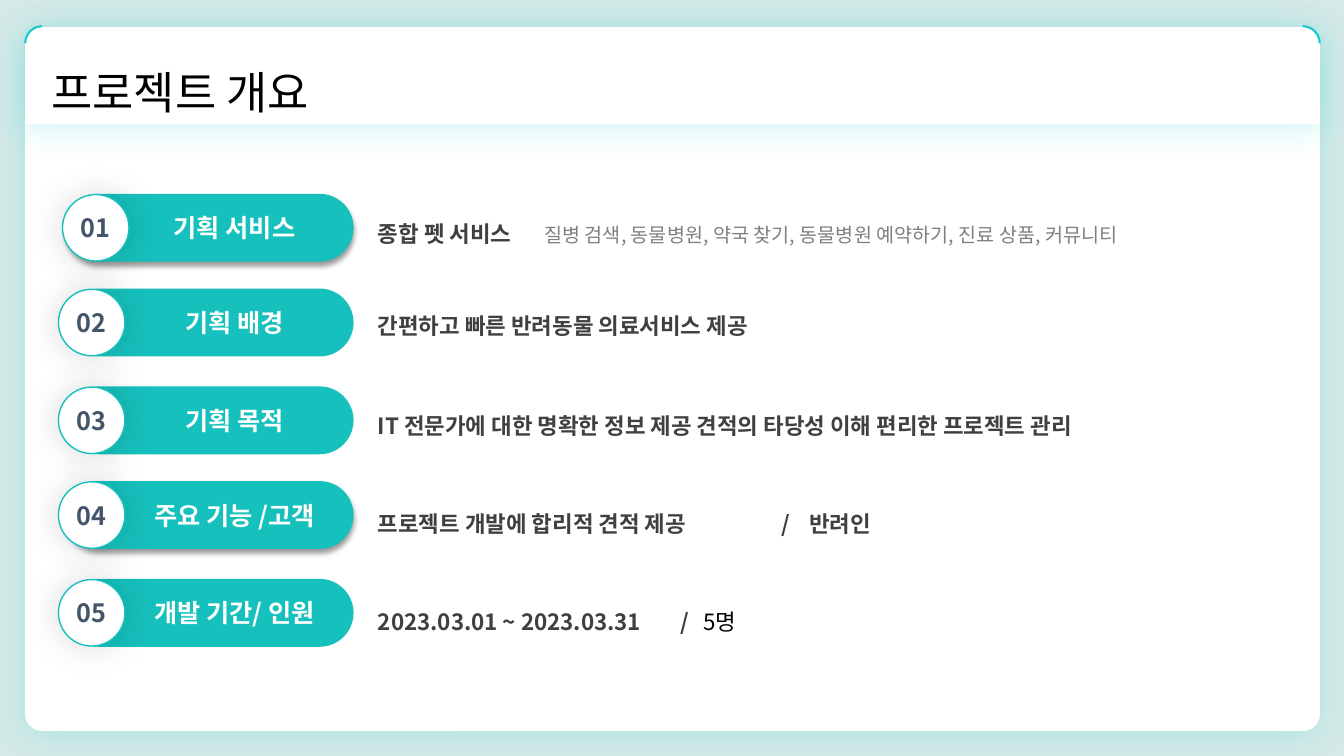
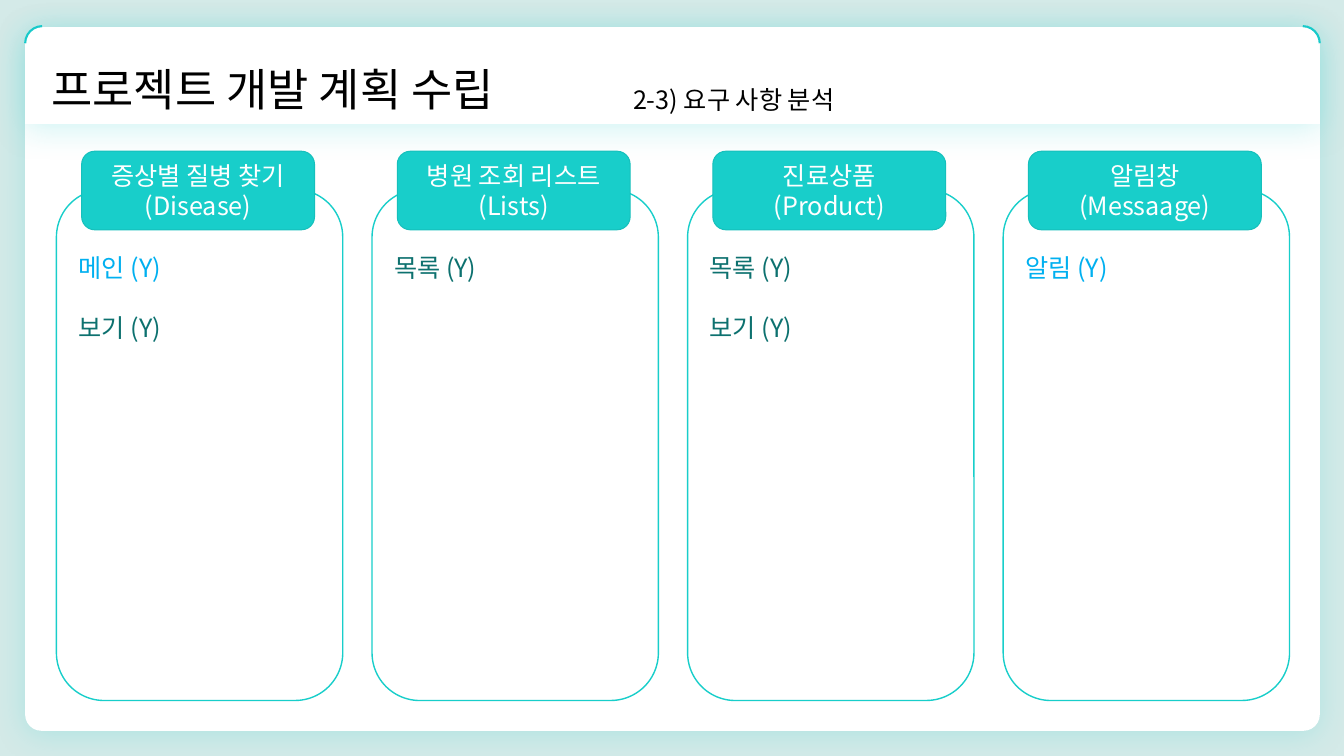
"""Build two slides that present a pet service project."""
from dataclasses import dataclass
from typing import Any, Optional

from lxml.etree import SubElement
from pptx import Presentation
from pptx.dml.color import RGBColor
from pptx.enum.shapes import MSO_SHAPE
from pptx.enum.text import MSO_ANCHOR, MSO_AUTO_SIZE, PP_ALIGN
from pptx.oxml.ns import qn
from pptx.shapes.autoshape import Shape
from pptx.slide import Slide
from pptx.util import Inches, Pt

FONT = "Noto Sans CJK KR"
WHITE, BLACK, BACKGROUND = "FFFFFF", "000000", "D4EAE8"
ACCENT, PILL, COLUMN = "18CACA", "16C0BC", "18CECA"
NUMBER, BODY, DETAIL = "44546A", "404040", "808080"
DONE, HIGHLIGHT = "0D716F", "00B0F0"

Box = tuple[float, float, float, float]


@dataclass(frozen=True)
class Shadow:
    """A soft outer shadow, with lengths in points and opacity in percent."""
    color: str
    opacity: int
    blur: float
    distance: float
    direction: int = 90


@dataclass(frozen=True)
class Span:
    """A piece of text with one look."""
    text: str
    size: int = 18
    color: str = WHITE
    bold: bool = False


@dataclass(frozen=True)
class OverviewRow:
    """A numbered pill with its description."""
    label: str
    top: float
    text_top: float
    spans: tuple[Span, ...]
    tabs: tuple[float, ...] = ()
    raised: bool = False
    circle_left: float = 0.58


@dataclass(frozen=True)
class Requirement:
    """A column of requirements under a header."""
    name: str
    english: str
    items: tuple[tuple[str, str], ...]


CARD_SHADOW = Shadow(ACCENT, 20, 23, 3)
PILL_SHADOW = Shadow(BLACK, 40, 4, 3)
CIRCLE_SHADOW = Shadow(BLACK, 14, 26, 0, 0)
TITLE_SHADOW = Shadow(BLACK, 40, 4, 3)


def strong(text: str) -> Span:
    """Return a bold description span."""
    return Span(text, 16, BODY, True)


ROWS = (
    OverviewRow("기획 서비스", 1.93, 2.0, (
        strong("종합 펫 서비스\t"),
        Span("질병 검색, 동물병원, 약국 찾기, 동물병원 예약하기, 진료 상품, 커뮤니티", 14, DETAIL),
    ), (1.65,), True, 0.62),
    OverviewRow("기획 배경", 2.87, 2.91, (strong("간편하고 빠른 반려동물 의료서비스 제공"),)),
    OverviewRow("기획 목적", 3.84, 3.91, (
        strong("IT 전문가에 대한 명확한 정보 제공 견적의 타당성 이해 편리한 프로젝트 관리"),)),
    OverviewRow("주요 기능 /고객", 4.78, 4.88, (
        strong("프로젝트 개발에 합리적 견적 제공\t/\t반려인"),), (4.0, 4.28), True),
    OverviewRow("개발 기간/ 인원", 5.75, 5.85, (
        strong("2023.03.01 ~ 2023.03.31\t/\t"), Span("5명", 16, BLACK)), (3.0, 3.23)),
)

REQUIREMENTS = (
    Requirement("증상별 질병 찾기", "(Disease)", (("메인 (Y)", HIGHLIGHT), ("보기 (Y)", DONE))),
    Requirement("병원 조회 리스트", "(Lists)", (("목록 (Y)", DONE),)),
    Requirement("진료상품", "(Product)", (("목록 (Y)", DONE), ("보기 (Y)", DONE))),
    Requirement("알림창", "(Messaage)", (("알림 (Y)", HIGHLIGHT),)),
)


def rgb(color: str) -> RGBColor:
    """Return the colour of a hex string."""
    return RGBColor.from_string(color)


def apply_format(target: Any, values: dict[str, Any]) -> None:
    """Set each named attribute on the target."""
    for name, value in values.items():
        setattr(target, name, value)


def place(shape: Shape, box: Box) -> None:
    """Move and size a shape in inches."""
    names = ("left", "top", "width", "height")
    apply_format(shape, dict(zip(names, map(Inches, box))))


def add_shadow(effects: Any, shadow: Shadow) -> None:
    """Add an outer shadow to an effect list."""
    outer = SubElement(effects, qn("a:outerShdw"), {
        "blurRad": str(Pt(shadow.blur)), "dist": str(Pt(shadow.distance)),
        "dir": str(shadow.direction * 60000), "algn": "ctr", "rotWithShape": "0"})
    color = SubElement(outer, qn("a:srgbClr"), val=shadow.color)
    SubElement(color, qn("a:alpha"), val=str(shadow.opacity * 1000))


def add_figure(shapes: Any, kind: MSO_SHAPE, box: Box, fill: Optional[str] = None,
               line: Optional[str] = None, line_width: float = 1,
               shadow: Optional[Shadow] = None, adjustments: tuple[float, ...] = ()) -> Shape:
    """Add a preset shape with its fill, line and shadow."""
    shape = shapes.add_shape(kind, *map(Inches, box))
    shape.shadow.inherit = False
    if shadow:
        add_shadow(shape._element.spPr.find(qn("a:effectLst")), shadow)
    if fill:
        shape.fill.solid()
        shape.fill.fore_color.rgb = rgb(fill)
    else:
        shape.fill.background()
    if line:
        shape.line.color.rgb = rgb(line)
        shape.line.width = Pt(line_width)
    else:
        shape.line.fill.background()
    for index, value in enumerate(adjustments):
        shape.adjustments[index] = value
    return shape


def write(shape: Shape, lines: tuple[tuple[Span, ...], ...], frame_format: dict[str, Any],
          paragraph_format: dict[str, Any], shadow: Optional[Shadow] = None) -> None:
    """Fill a shape with one paragraph per line."""
    frame = shape.text_frame
    apply_format(frame, frame_format)
    for index, spans in enumerate(lines):
        paragraph = frame.add_paragraph() if index else frame.paragraphs[0]
        apply_format(paragraph, paragraph_format)
        for span in spans:
            run = paragraph.add_run()
            run.text = span.text
            run.font.color.rgb = rgb(span.color)
            properties = run._r.get_or_add_rPr()
            if shadow:
                add_shadow(SubElement(properties, qn("a:effectLst")), shadow)
            apply_format(run.font, {"size": Pt(span.size), "bold": span.bold, "name": FONT})
            SubElement(properties, qn("a:ea"), typeface=FONT)


def add_text(slide: Slide, box: Box, lines: tuple[tuple[Span, ...], ...],
             paragraph_format: dict[str, Any]) -> Shape:
    """Add a wrapping text box."""
    shape = slide.shapes.add_textbox(*map(Inches, box))
    write(shape, lines, {"word_wrap": True}, paragraph_format)
    return shape


def add_page(presentation: Any, title: str, title_box: Box) -> Slide:
    """Add a slide with the shared card, band, corners and title."""
    slide = presentation.slides.add_slide(presentation.slide_layouts[5])
    slide.background.fill.solid()
    slide.background.fill.fore_color.rgb = rgb(BACKGROUND)
    for kind, height, adjustments in ((MSO_SHAPE.ROUNDED_RECTANGLE, 6.98, (0.023,)),
                                      (MSO_SHAPE.ROUND_2_SAME_RECTANGLE, 0.96, ())):
        add_figure(slide.shapes, kind, (0.25, 0.27, 12.84, height), WHITE,
                   shadow=CARD_SHADOW, adjustments=adjustments)
    for left, flip in ((0.25, "0"), (12.75, "1")):
        corner = add_figure(slide.shapes, MSO_SHAPE.ARC, (left, 0.26, 0.34, 0.34), line=ACCENT,
                            line_width=1.5, adjustments=(108.1, 161.63))
        corner._element.spPr.xfrm.set("flipH", flip)
    heading = slide.shapes.title
    slide.shapes._spTree.append(heading._element)
    place(heading, title_box)
    write(heading, ((Span(title, 32, BLACK),),),
          {"word_wrap": True, "vertical_anchor": MSO_ANCHOR.TOP,
           "auto_size": MSO_AUTO_SIZE.SHAPE_TO_FIT_TEXT},
          {"alignment": PP_ALIGN.LEFT}, TITLE_SHADOW)
    return slide


def add_overview_row(slide: Slide, number: int, row: OverviewRow) -> None:
    """Draw a numbered pill and its description."""
    shapes = slide.shapes.add_group_shape().shapes
    centred = {"alignment": PP_ALIGN.CENTER}
    pill = add_figure(shapes, MSO_SHAPE.ROUNDED_RECTANGLE, (0.65, row.top, 2.85, 0.66), PILL, PILL,
                      shadow=PILL_SHADOW if row.raised else None, adjustments=(0.5,))
    write(pill, ((Span(row.label, bold=True),),),
          {"vertical_anchor": MSO_ANCHOR.MIDDLE, "margin_left": Inches(0.6)}, centred)
    circle = add_figure(shapes, MSO_SHAPE.OVAL, (row.circle_left, row.top, 0.66, 0.66), WHITE, PILL,
                        shadow=CIRCLE_SHADOW)
    write(circle, ((Span(f"{number:02}", color=NUMBER, bold=True),),),
          {"vertical_anchor": MSO_ANCHOR.MIDDLE, "word_wrap": False}, centred)
    description = add_text(slide, (3.65, row.text_top, 8.72, 0.5), (row.spans,),
                           {"line_spacing": 1.5})
    if row.tabs:
        properties = description.text_frame.paragraphs[0]._p.get_or_add_pPr()
        tab_list = SubElement(properties, qn("a:tabLst"))
        for position in row.tabs:
            SubElement(tab_list, qn("a:tab"), pos=str(Inches(position)), algn="l")


def add_requirement(slide: Slide, left: float, requirement: Requirement) -> None:
    """Draw an outlined column, its header and its items."""
    add_figure(slide.shapes, MSO_SHAPE.ROUNDED_RECTANGLE, (left, 1.88, 2.84, 5.07), line=COLUMN)
    header = add_figure(slide.shapes, MSO_SHAPE.ROUNDED_RECTANGLE, (left + 0.25, 1.5, 2.31, 0.78),
                        COLUMN, PILL, 0.75)
    write(header, ((Span(requirement.name),), (Span(requirement.english),)),
          {"vertical_anchor": MSO_ANCHOR.MIDDLE}, {"alignment": PP_ALIGN.CENTER})
    items = tuple((Span(text, color=color),) for text, color in requirement.items)
    add_text(slide, (left + 0.12, 2.45, 3.02, 0.1 + 0.6 * len(items)), items,
             {"space_after": Pt(21.5)})


def main() -> None:
    """Build and save the presentation."""
    presentation = Presentation()
    apply_format(presentation, {"slide_width": Inches(13.33), "slide_height": Inches(7.5)})

    overview = add_page(presentation, "프로젝트 개요", (0.41, 0.59, 4.68, 0.64))
    for number, row in enumerate(ROWS, 1):
        add_overview_row(overview, number, row)

    plan = add_page(presentation, "프로젝트 개발 계획 수립", (0.41, 0.56, 6.08, 0.64))
    add_text(plan, (6.18, 0.79, 4.68, 0.4), ((Span("2-3) 요구 사항 분석", color=BLACK),),), {})
    for index, requirement in enumerate(REQUIREMENTS):
        add_requirement(plan, 0.56 + 3.13 * index, requirement)

    presentation.save("out.pptx")


main()
